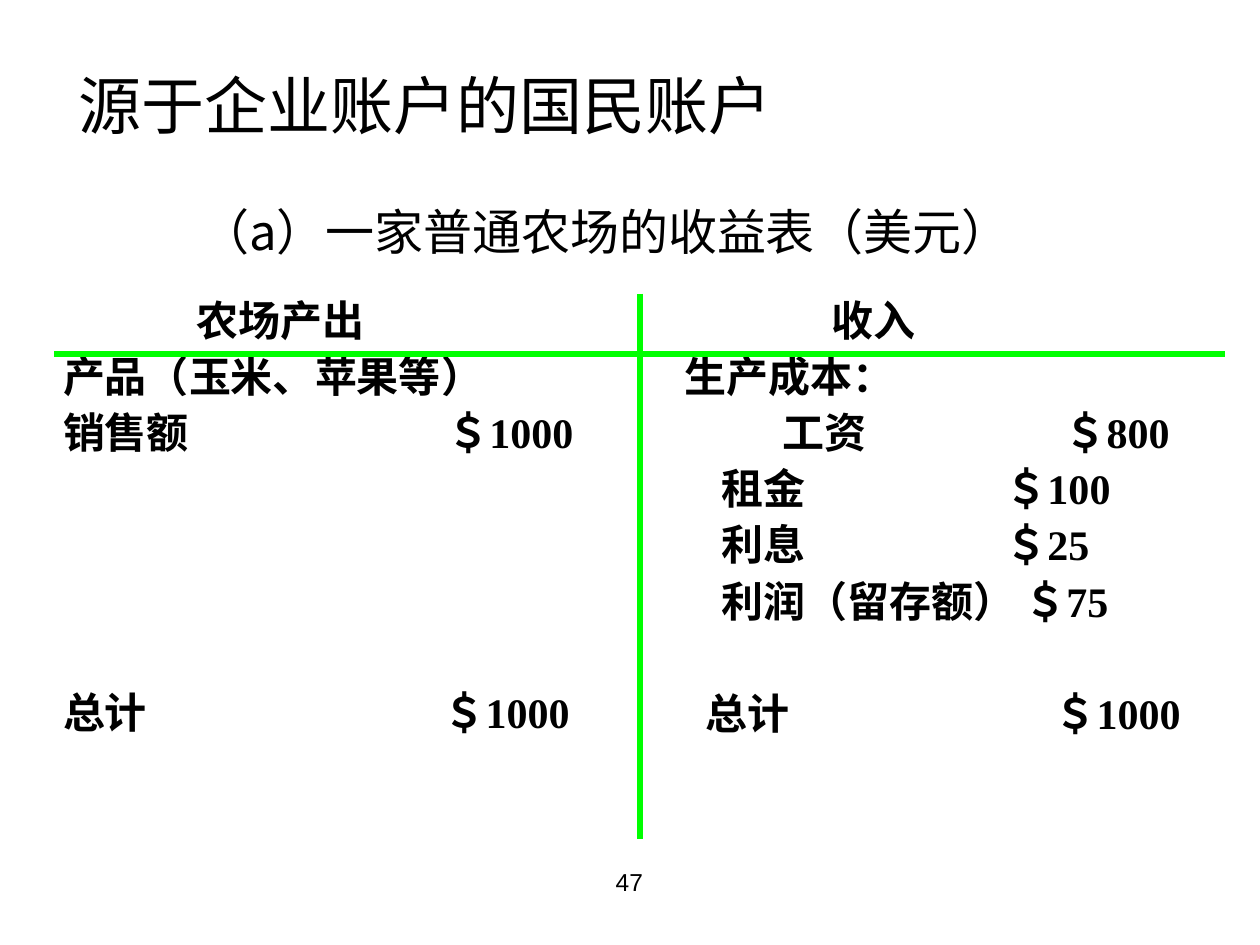
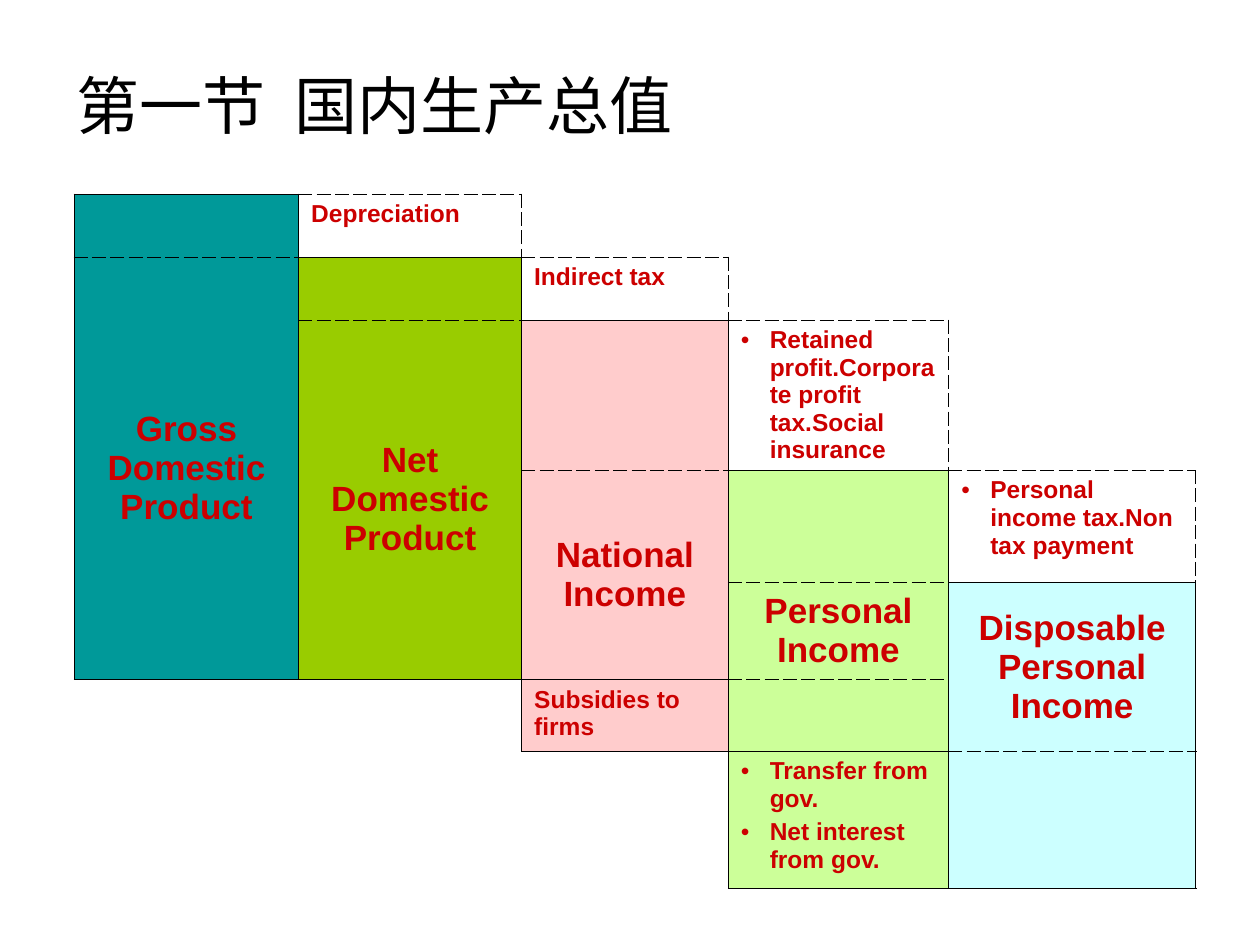
from lxml import etree
from pptx import Presentation
from pptx.dml.color import RGBColor
from pptx.enum.shapes import MSO_CONNECTOR
from pptx.enum.text import MSO_ANCHOR, MSO_AUTO_SIZE, PP_ALIGN
from pptx.oxml.ns import qn
from pptx.util import Inches, Pt

LEFT, CENTER = PP_ALIGN.LEFT, PP_ALIGN.CENTER
TOP, MIDDLE = MSO_ANCHOR.TOP, MSO_ANCHOR.MIDDLE
STRAIGHT = MSO_CONNECTOR.STRAIGHT
NO_AUTOFIT = MSO_AUTO_SIZE.NONE

SLIDE_WIDTH, SLIDE_HEIGHT = 10, 7.5
CHINESE, SERIF, SANS = "Noto Sans CJK SC", "Times New Roman", "Arial"
BLACK, GREEN, RED = "000000", "00FF00", "CC0000"

ACCOUNT_TITLE = "源于企业账户的国民账户"
ACCOUNT_SUBTITLE = "（a）一家普通农场的收益表（美元）"
PAGE_NUMBER = "47"
ACCOUNT_TOP, LINE_HEIGHT, LINE_GAP = 2.38, 26, 6
LINE_PITCH = LINE_HEIGHT + LINE_GAP
ACCOUNT_COLUMNS = [
    {"left": 0.5, "width": 3.5, "rows": [
        (0, 1.06, "农场产出"), (1, 0, "产品（玉米、苹果等）"),
        (2, 0, "销售额"), (7, 0, "总计")]},
    {"left": 3.52, "width": 1.5, "rows": [(2, 0.03, "＄1000"), (7, 0, "＄1000")]},
    {"left": 5.43, "width": 3, "rows": [
        (0, 1.17, "收入"), (1, 0, "生产成本："), (2, 0.78, "工资"),
        (3, 0.3, "租金"), (4, 0.3, "利息"), (5, 0.3, "利润（留存额）"),
        (7, 0.17, "总计")]},
    {"left": 7.98, "width": 1.9, "rows": [
        (2, 0.47, "＄800"), (3, 0, "＄100"), (4, 0, "＄25"),
        (5, 0.15, "＄75"), (7, 0.39, "＄1000")]},
]
ACCOUNT_RULES = [((0.43, 2.81), (9.72, 2.81)), ((5.08, 2.33), (5.08, 6.66))]

INCOME_TITLE = "第一节  国内生产总值"
COLUMN_WIDTHS = [1.78, 1.77, 1.64, 1.75, 1.96]
ROW_HEIGHTS = [0.5, 0.5, 1.03, 0.89, 0.77, 0.57, 1.09]
COLUMN_FILLS = ["009999", "99CC00", "FFCCCC", "CCFF99", "CCFFFF"]
BORDER_SIDES = "LTRB"
BORDER_CODES = [
    "hssd sdds d--d ---- ----",
    "hdss sssd sdds d--d ----",
    "---- sdss sssd sdds d--d",
    "---- ---- sdss sssd sdds",
    "---- ---- ---- sdsd sshd",
    "-s-- -ss- ssss sdss ----",
    "---- ---- -ss- sssh sdhh",
]
BORDER_STYLES = {"s": (0.45, "solid"), "d": (0.45, "dash"), "h": (1.08, "solid")}
FILLED_ROWS = [(0, 4), (1, 4), (2, 5), (3, 6), (4, 6)]
ROW_SPANS = {(1, 0): 4, (2, 1): 3, (3, 2): 2, (4, 4): 2, (5, 0): 2}
AGGREGATES = {
    (1, 0): "Gross Domestic Product",
    (2, 1): "Net Domestic Product",
    (3, 2): "National Income",
    (4, 3): "Personal Income",
    (4, 4): "Disposable Personal Income",
}
ADJUSTMENTS = {
    (0, 1): "Depreciation",
    (1, 2): "Indirect tax",
    (5, 2): "Subsidies to firms",
}
BULLETED_ADJUSTMENTS = {
    (2, 3): ["Retained profit.Corporate profit tax.Social insurance"],
    (3, 4): ["Personal income tax.Non tax payment"],
    (6, 3): ["Transfer from gov.", "Net interest from gov."],
}


def color(value):
    return RGBColor.from_string(value)


def place(shape, left, top, width, height):
    shape.left, shape.top = Inches(left), Inches(top)
    shape.width, shape.height = Inches(width), Inches(height)


def add_run(paragraph, text, size, font, bold=False, fill=BLACK):
    run = paragraph.add_run()
    run.text = text
    run.font.size, run.font.bold, run.font.name = Pt(size), bold, font
    run.font.color.rgb = color(fill)
    etree.SubElement(run.font._element, qn("a:ea"), typeface=CHINESE)


def set_indent(paragraph, left, first_line):
    properties = paragraph._p.get_or_add_pPr()
    properties.set("marL", str(Inches(left)))
    properties.set("indent", str(Inches(first_line)))
    return properties


def set_title(slide, text, font, box):
    title = slide.shapes.title
    place(title, *box)
    frame = title.text_frame
    frame.auto_size, frame.vertical_anchor = NO_AUTOFIT, MIDDLE
    frame.paragraphs[0].alignment = LEFT
    add_run(frame.paragraphs[0], text, 36, font)


def add_label(slide, text, size, font, box):
    label = slide.shapes.add_textbox(*map(Inches, box))
    label.text_frame.word_wrap = True
    paragraph = label.text_frame.paragraphs[0]
    paragraph.alignment = CENTER
    add_run(paragraph, text, size, font)


def add_rule(slide, start, end):
    rule = slide.shapes.add_connector(STRAIGHT, *map(Inches, start + end))
    rule.line.color.rgb, rule.line.width = color(GREEN), Pt(3)
    etree.SubElement(rule._element.spPr, qn("a:effectLst"))


def fill_account_column(body, left, width, rows):
    first_line, last_line = rows[0][0], rows[-1][0]
    top = ACCOUNT_TOP + first_line * LINE_PITCH / 72
    height = (last_line - first_line + 1) * LINE_PITCH / 72
    place(body, left, top, width, height)
    frame = body.text_frame
    frame.auto_size, frame.vertical_anchor = NO_AUTOFIT, TOP
    frame.margin_left = frame.margin_top = frame.margin_right = frame.margin_bottom = 0
    previous_line = first_line
    for index, (line, indent, text) in enumerate(rows):
        paragraph = frame.add_paragraph() if index else frame.paragraphs[0]
        paragraph.alignment, paragraph.line_spacing = LEFT, Pt(LINE_HEIGHT)
        gap = (line - previous_line) * LINE_PITCH - LINE_HEIGHT if index else 0
        paragraph.space_before = Pt(gap)
        properties = set_indent(paragraph, indent, 0)
        etree.SubElement(properties, qn("a:buNone"))
        add_run(paragraph, text, 24, SERIF, bold=True)
        previous_line = line


def build_account_slide(presentation):
    slide = presentation.slides.add_slide(presentation.slide_layouts[4])
    set_title(slide, ACCOUNT_TITLE, SERIF, (0.52, 0.5, 8.58, 0.65))
    for index, column in enumerate(ACCOUNT_COLUMNS, start=1):
        fill_account_column(slide.placeholders[index], **column)
    add_label(slide, ACCOUNT_SUBTITLE, 28, CHINESE, (0.98, 1.55, 7.65, 0.57))
    for start, end in ACCOUNT_RULES:
        add_rule(slide, start, end)
    add_label(slide, PAGE_NUMBER, 14, SANS, (3.41, 6.83, 3.17, 0.52))


def set_borders(cell, code):
    properties = cell._tc.get_or_add_tcPr()
    styles = dict(zip(BORDER_SIDES, code))
    for index, side in enumerate("LRTB"):
        line = etree.Element(qn("a:ln" + side))
        if styles[side] in BORDER_STYLES:
            width, dash = BORDER_STYLES[styles[side]]
            line.set("w", str(Pt(width)))
            fill = etree.SubElement(line, qn("a:solidFill"))
            etree.SubElement(fill, qn("a:srgbClr"), val=BLACK)
            etree.SubElement(line, qn("a:prstDash"), val=dash)
        else:
            etree.SubElement(line, qn("a:noFill"))
        properties.insert(index, line)


def write_cell(cell, texts, size, alignment, anchor, bulleted=False):
    cell.vertical_anchor = anchor
    frame = cell.text_frame
    for index, text in enumerate(texts):
        paragraph = frame.add_paragraph() if index else frame.paragraphs[0]
        paragraph.alignment, paragraph.space_before = alignment, Pt(size / 4)
        if bulleted:
            properties = set_indent(paragraph, 0.23, -0.23)
            bullet_color = etree.SubElement(properties, qn("a:buClr"))
            etree.SubElement(bullet_color, qn("a:srgbClr"), val=RED)
            etree.SubElement(properties, qn("a:buFont"), typeface=SANS)
            etree.SubElement(properties, qn("a:buChar"), char="•")
        add_run(paragraph, text, size, SANS, bold=True, fill=RED)


def style_grid(table):
    codes = [row.split() for row in BORDER_CODES]
    for (row, column), span in ROW_SPANS.items():
        left, top, right, bottom = codes[row][column]
        for covered in range(row + 1, row + span):
            codes[covered][column] = left + "-" + right + bottom
    for row, row_codes in enumerate(codes):
        for column, code in enumerate(row_codes):
            cell = table.cell(row, column)
            first, last = FILLED_ROWS[column]
            if first <= row <= last:
                cell.fill.solid()
                cell.fill.fore_color.rgb = color(COLUMN_FILLS[column])
            else:
                cell.fill.background()
            set_borders(cell, code)
    for (row, column), span in ROW_SPANS.items():
        table.cell(row, column).merge(table.cell(row + span - 1, column))


def build_income_slide(presentation):
    slide = presentation.slides.add_slide(presentation.slide_layouts[5])
    set_title(slide, INCOME_TITLE, SANS, (0.51, 0.36, 9, 0.94))
    box = (0.59, 1.54, sum(COLUMN_WIDTHS), sum(ROW_HEIGHTS))
    table = slide.shapes.add_table(
        len(ROW_HEIGHTS), len(COLUMN_WIDTHS), *map(Inches, box)
    ).table
    table.first_row = table.horz_banding = False
    for column, width in zip(table.columns, COLUMN_WIDTHS):
        column.width = Inches(width)
    for row, height in zip(table.rows, ROW_HEIGHTS):
        row.height = Inches(height)
    style_grid(table)
    for position, text in AGGREGATES.items():
        write_cell(table.cell(*position), [text], 20, CENTER, MIDDLE)
    for position, text in ADJUSTMENTS.items():
        write_cell(table.cell(*position), [text], 14, LEFT, TOP)
    for position, texts in BULLETED_ADJUSTMENTS.items():
        write_cell(table.cell(*position), texts, 14, LEFT, TOP, bulleted=True)


def main():
    presentation = Presentation()
    presentation.slide_width = Inches(SLIDE_WIDTH)
    presentation.slide_height = Inches(SLIDE_HEIGHT)
    build_account_slide(presentation)
    build_income_slide(presentation)
    presentation.save("out.pptx")


if __name__ == "__main__":
    main()
